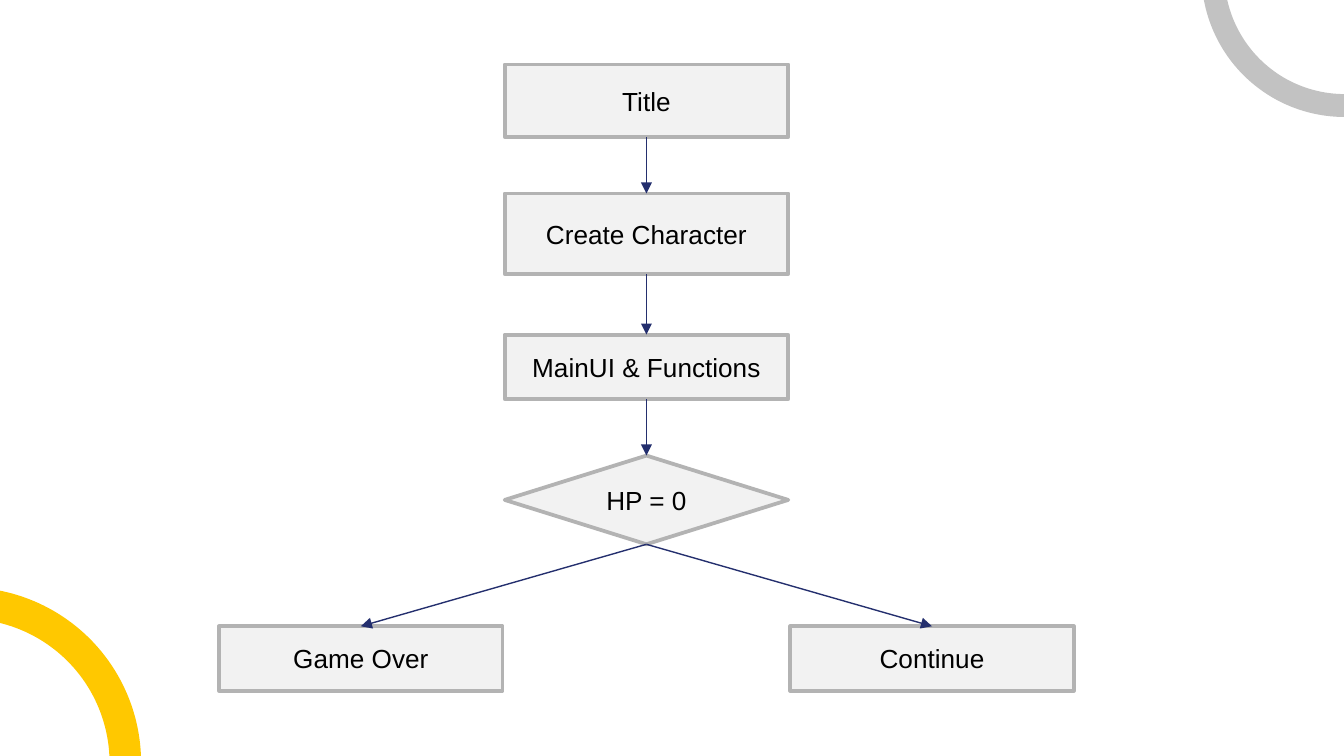
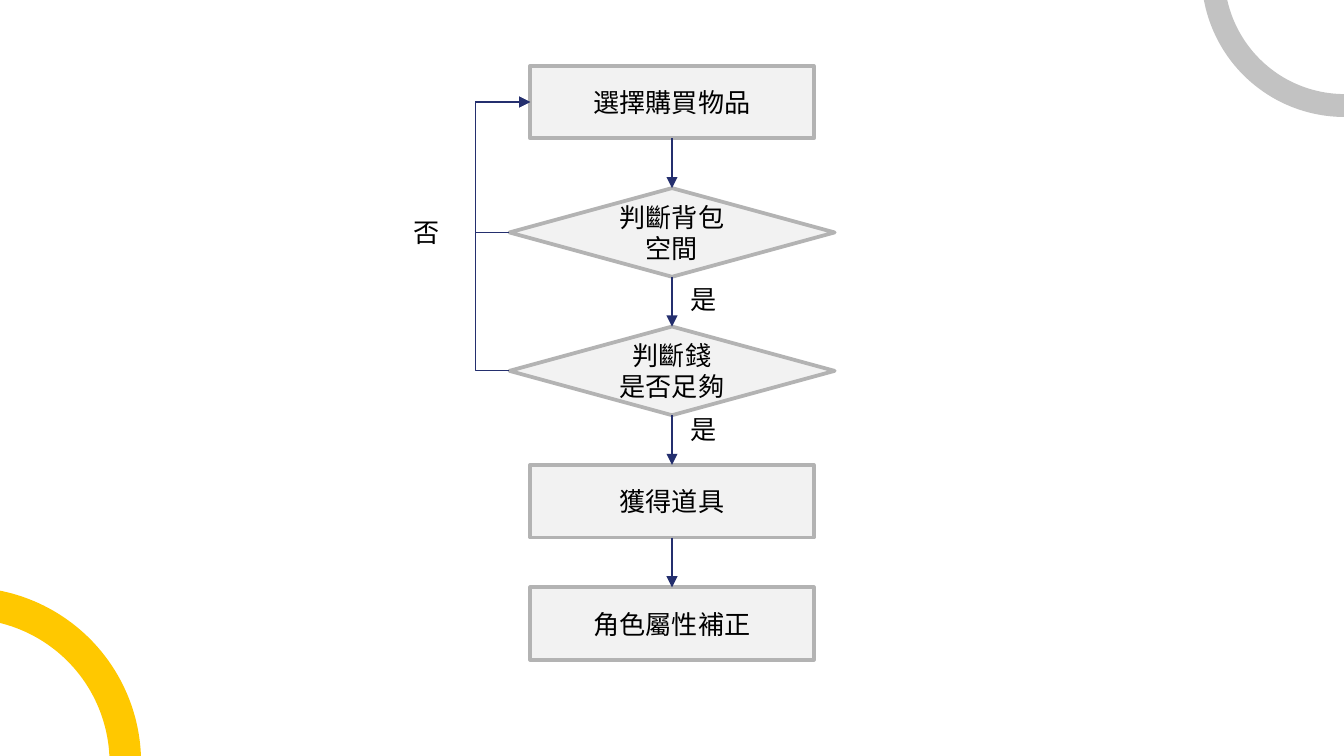
from collections import namedtuple

import pptx
import pptx.dml.color
import pptx.enum.shapes
import pptx.enum.text
import pptx.oxml.ns
import pptx.util

Inches = pptx.util.Inches
RGBColor = pptx.dml.color.RGBColor
WHITE = RGBColor(0xFF, 0xFF, 0xFF)
BLACK = RGBColor(0x00, 0x00, 0x00)
PALE = RGBColor(0xF2, 0xF2, 0xF2)
BORDER = RGBColor(0xB3, 0xB3, 0xB3)
NAVY = RGBColor(0x24, 0x2F, 0x6E)
SILVER = RGBColor(0xC2, 0xC2, 0xC2)
YELLOW = RGBColor(0xFF, 0xC8, 0x00)

FONT = "Arial"
SHAPES = pptx.enum.shapes.MSO_SHAPE
LINES = pptx.enum.shapes.MSO_CONNECTOR
ALIGN = pptx.enum.text.PP_ALIGN
ANCHOR = pptx.enum.text.MSO_ANCHOR
TOP, LEFT, BOTTOM = 0, 1, 2  # connection sites

STEP_WIDTH = 2.11
STEP_HEIGHT = 0.54
DECISION_HEIGHT = 0.66

Area = namedtuple("Area", "left top width height")


def write(shape, text, size=14, color=BLACK, align=ALIGN.CENTER, anchor=ANCHOR.MIDDLE):
    """Fill a shape with text, one paragraph for each line."""
    frame = shape.text_frame
    frame.word_wrap = True
    frame.vertical_anchor = anchor
    for index, line in enumerate(text.split("\n")):
        para = frame.add_paragraph() if index else frame.paragraphs[0]
        para.alignment = align
        span = para.add_run()
        span.text = line
        span.font.name = FONT
        span.font.size = pptx.util.Pt(size)
        span.font.color.rgb = color


def add_element(parent, tag, **attributes):
    """Append a drawing element to an XML parent."""
    parent.append(parent.makeelement(pptx.oxml.ns.qn(tag), attributes))


def add_node(page, center, top, text, width=STEP_WIDTH, height=STEP_HEIGHT, kind=SHAPES.RECTANGLE):
    """Add a bordered step or decision centred on a vertical axis."""
    node = page.shapes.add_shape(
        kind, Inches(center - width / 2), Inches(top), Inches(width), Inches(height))
    node.shadow.inherit = False
    node.fill.solid()
    node.fill.fore_color.rgb = PALE
    node.line.color.rgb = BORDER
    node.line.width = pptx.util.Pt(2)
    write(node, text)
    return node


def add_arrow(page, source, target, begin=BOTTOM, end=TOP, kind=LINES.STRAIGHT):
    """Join two nodes with a navy arrow."""
    arrow = page.shapes.add_connector(kind, 0, 0, 0, 0)
    arrow.begin_connect(source, begin)
    arrow.end_connect(target, end)
    arrow.line.color.rgb = NAVY
    arrow.line.width = pptx.util.Pt(0.75)
    properties = arrow._element.spPr
    add_element(properties.find(pptx.oxml.ns.qn("a:ln")), "a:tailEnd", type="triangle")
    add_element(properties, "a:effectLst")
    return arrow


def add_return(page, source, target, reach):
    """Add an elbow arrow that swings out to the left by the given reach."""
    arrow = add_arrow(page, source, target, LEFT, LEFT, LINES.ELBOW)
    geometry = arrow._element.spPr.find(pptx.oxml.ns.qn("a:prstGeom"))
    bend = round(-Inches(reach) / arrow.width * 100000)
    add_element(geometry.get_or_add_avLst(), "a:gd", name="adj1", fmla=f"val {bend}")


def add_label(page, left, top, text):
    label = page.shapes.add_textbox(Inches(left), Inches(top), Inches(0.39), Inches(0.34))
    write(label, text, align=ALIGN.LEFT, anchor=ANCHOR.TOP)
    label.text_frame.auto_size = pptx.enum.text.MSO_AUTO_SIZE.SHAPE_TO_FIT_TEXT


def add_ring(page, left, top, size, rotation, color, adjustments):
    ring = page.shapes.add_shape(
        SHAPES.BLOCK_ARC, Inches(left), Inches(top), Inches(size), Inches(size))
    ring.shadow.inherit = False
    ring.rotation = rotation
    ring.fill.solid()
    ring.fill.fore_color.rgb = color
    ring.line.fill.background()
    for index, value in enumerate(adjustments):
        ring.adjustments[index] = value


def add_page(deck):
    """Add a white page with the two corner rings."""
    page = deck.slides.add_slide(deck.slide_layouts[6])
    page.background.fill.solid()
    page.background.fill.fore_color.rgb = WHITE
    add_ring(page, 8.94, -1.26, 2.13, 270, SILVER, (107.97, 158.82, 0.08))
    add_ring(page, -1.56, 4.37, 2.61, 345, YELLOW, (176.83, 8.37, 0.09))
    return page


def game_flow(page, area):
    """Draw the main game flow, ending in two branches."""
    center = area.left + area.width / 2
    low = 0.48
    title = add_node(page, center, area.top, "Title")
    create = add_node(page, center, area.top + 0.96, "Create Character", height=0.6)
    main_ui = add_node(page, center, area.top + 2.01, "MainUI & Functions", height=low)
    check = add_node(page, center, area.top + 2.91, "HP = 0",
                     height=DECISION_HEIGHT, kind=SHAPES.FLOWCHART_DECISION)
    for source, target in ((title, create), (create, main_ui), (main_ui, check)):
        add_arrow(page, source, target)

    # Outcomes at the two lower corners
    spread = (area.width - STEP_WIDTH) / 2
    for text, side in (("Game Over", -1), ("Continue", 1)):
        outcome = add_node(page, center + side * spread,
                           area.top + area.height - low, text, height=low)
        add_arrow(page, check, outcome)


def purchase_flow(page, area):
    """Draw the purchase flow, with both failed checks returning to the start."""
    center = area.left + area.width / 2
    steps = (
        ("選擇購買物品", False),
        ("判斷背包\n空間", True),
        ("判斷錢\n是否足夠", True),
        ("獲得道具", False),
        ("角色屬性補正", False),
    )
    heights = [DECISION_HEIGHT if is_check else STEP_HEIGHT for _, is_check in steps]
    gap = (area.height - sum(heights)) / (len(steps) - 1)
    nodes = []
    top = area.top
    for (text, is_check), height in zip(steps, heights):
        kind = SHAPES.FLOWCHART_DECISION if is_check else SHAPES.RECTANGLE
        width = area.width if is_check else STEP_WIDTH
        nodes.append(add_node(page, center, top, text, width, height, kind))
        top += height + gap
    for source, target in zip(nodes, nodes[1:]):
        add_arrow(page, source, target)

    # Ways back and answers
    for check in nodes[1:3]:
        add_return(page, check, nodes[0], reach=0.25)
    add_label(page, area.left - 0.81, area.top + 1.07, "否")
    for offset in (1.57, 2.54):
        add_label(page, center + 0.04, area.top + offset, "是")


def main():
    deck = pptx.Presentation()
    deck.slide_width = Inches(10)
    deck.slide_height = deck.slide_width * 9 // 16
    game_flow(add_page(deck), Area(1.63, 0.48, 6.36, 4.66))
    purchase_flow(add_page(deck), Area(3.79, 0.49, 2.42, 4.42))
    deck.save("out.pptx")


if __name__ == "__main__":
    main()
